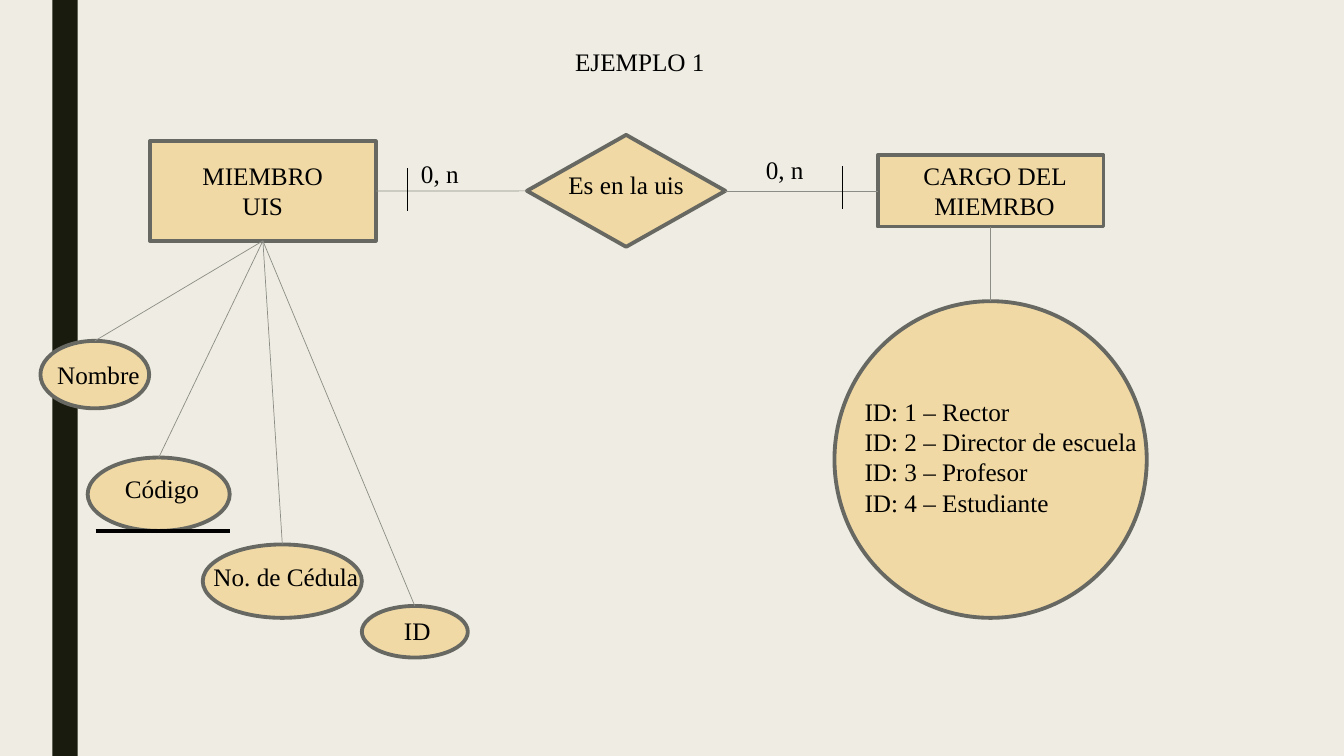
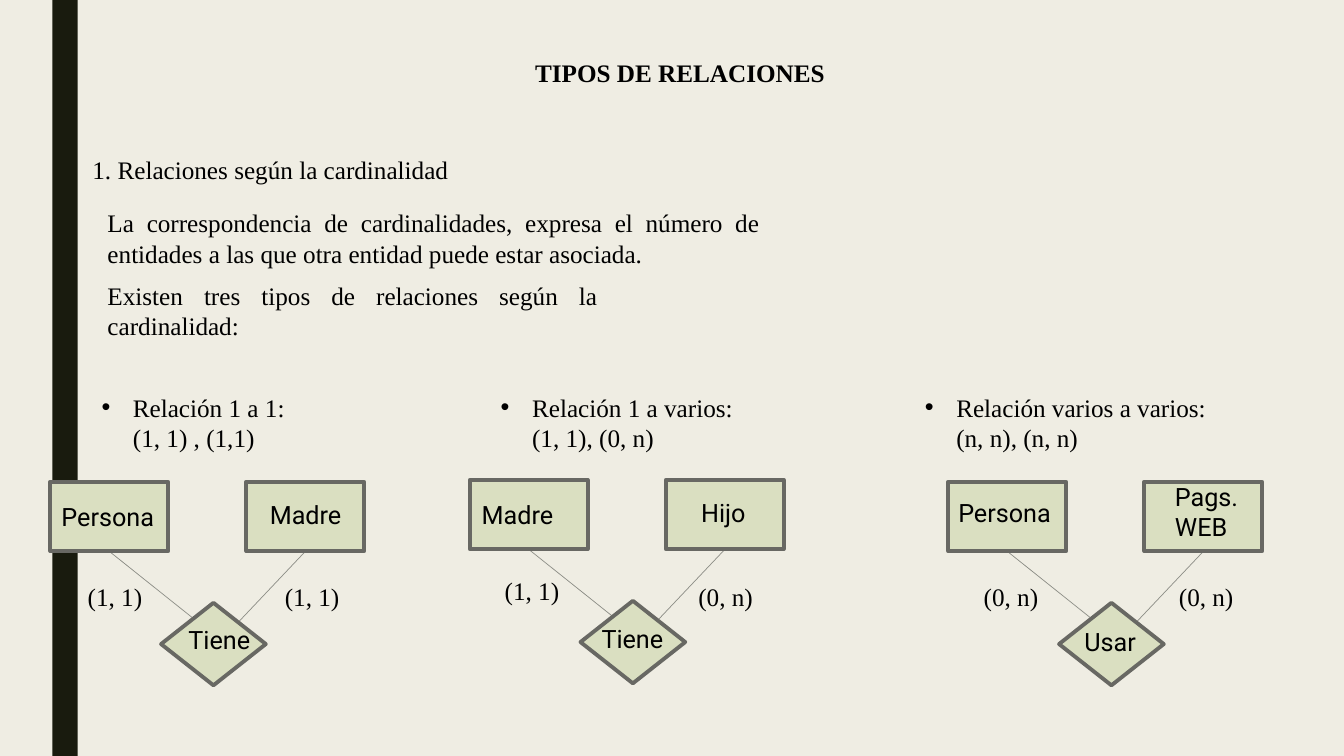
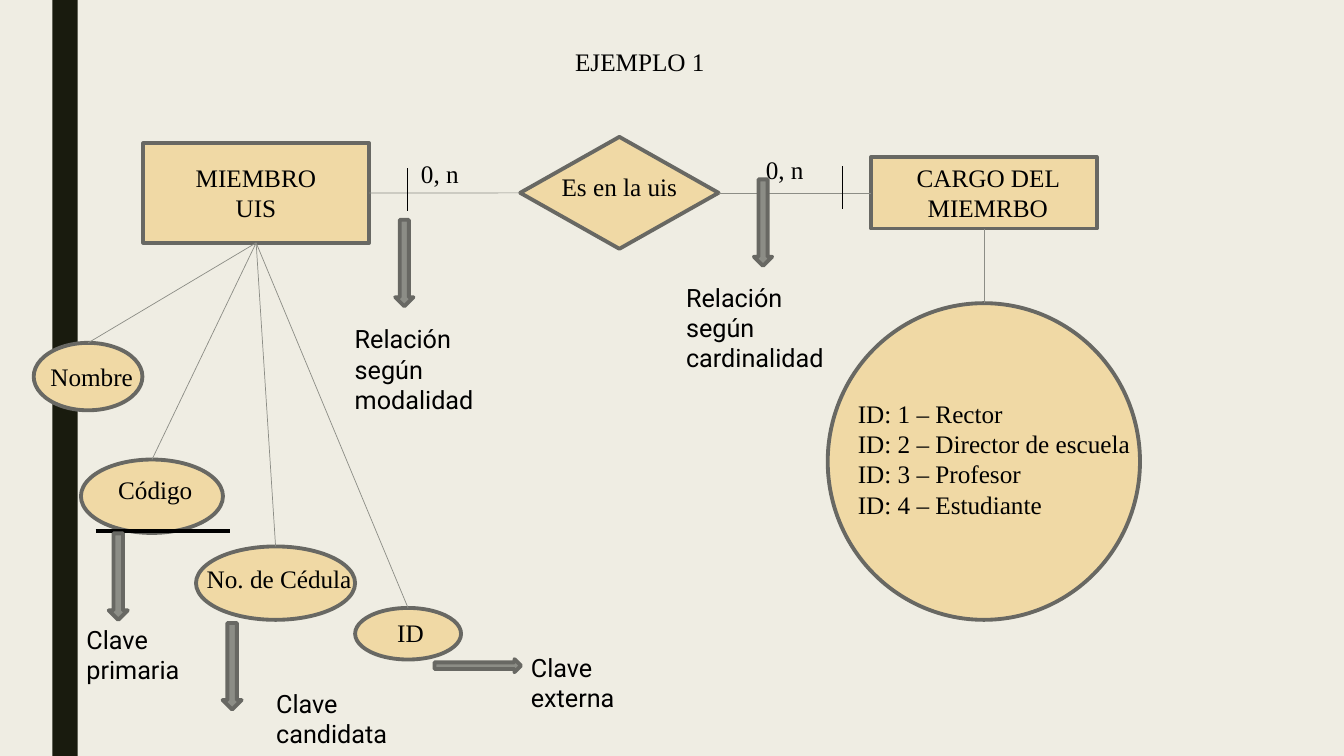
from lxml import etree
from pptx import Presentation
from pptx import util as u
from pptx.dml import color
from pptx.enum import shapes, text
from pptx.oxml import ns

BG, BAND, INK = "EFEDE3", "191B0E", "000000"
SAND, SAGE, GREY, BORDER = "F0D9A5", "DADFC1", "8C8D86", "686863"
SERIF, SANS = "Times New Roman", "Roboto"
LEFT, CENTER, JUSTIFY = text.PP_ALIGN.LEFT, text.PP_ALIGN.CENTER, text.PP_ALIGN.JUSTIFY
BOX = shapes.MSO_SHAPE.FLOWCHART_PROCESS
DIAMOND = shapes.MSO_SHAPE.DIAMOND
OVAL = shapes.MSO_SHAPE.OVAL
DOWN, RIGHT = shapes.MSO_SHAPE.DOWN_ARROW, shapes.MSO_SHAPE.RIGHT_ARROW


def rgb(value):
    """Turn a hex string into a colour."""
    return color.RGBColor.from_string(value)


def write(tf, words, font=SERIF, bold=False, align=LEFT, wrap=True, bullet=False):
    """Fill a text frame, one paragraph for each line of words."""
    tf.word_wrap = wrap
    for i, line in enumerate(words.split("\n")):
        p = tf.paragraphs[0] if i == 0 else tf.add_paragraph()
        p.alignment = align
        r = p.add_run()
        r.text = line
        r.font.name, r.font.size, r.font.bold = font, u.Pt(18), bold
        r.font.color.rgb = rgb(INK)
        if bullet:
            pPr = p._p.get_or_add_pPr()
            pPr.set("marL", str(u.Cm(0.79)))
            pPr.set("indent", str(u.Cm(-0.79)))
            etree.SubElement(pPr, ns.qn("a:buFont")).set("typeface", "Arial")
            etree.SubElement(pPr, ns.qn("a:buChar")).set("char", "•")


def label(parent, words, x, y, w, lines=1, **fmt):
    """Add a text box tall enough for a number of lines."""
    sp = parent.add_textbox(u.Cm(x), u.Cm(y), u.Cm(w), u.Cm(0.25 + 0.77 * lines))
    write(sp.text_frame, words, **fmt)
    sp.text_frame.auto_size = text.MSO_AUTO_SIZE.SHAPE_TO_FIT_TEXT
    return sp


def shape(parent, kind, x, y, w, h, fill=SAND, border=BORDER):
    """Add a filled preset shape."""
    sp = parent.add_shape(kind, u.Cm(x), u.Cm(y), u.Cm(w), u.Cm(h))
    sp.shadow.inherit = False
    sp.fill.solid()
    sp.fill.fore_color.rgb = rgb(fill)
    if border:
        sp.line.color.rgb = rgb(border)
        sp.line.width = u.Pt(2.75)
    else:
        sp.line.fill.background()
    return sp


def line(parent, start, end, ink=GREY, width=0.5):
    """Add a straight line between two points."""
    cxn = parent.add_connector(shapes.MSO_CONNECTOR.STRAIGHT, *start, *end)
    cxn.line.color.rgb = rgb(ink)
    cxn.line.width = u.Pt(width)
    etree.SubElement(cxn._element.spPr, ns.qn("a:effectLst"))
    return cxn


def point(x, y):
    """Return a point given in centimetres."""
    return u.Cm(x), u.Cm(y)


def site(sp, index):
    """Return the top, left, bottom or right connection point."""
    mid_x, mid_y = sp.left + sp.width // 2, sp.top + sp.height // 2
    return [(mid_x, sp.top), (sp.left, mid_y),
            (mid_x, sp.top + sp.height), (sp.left + sp.width, mid_y)][index]


def link(parent, a, a_site, b, b_site):
    """Join two shapes with a glued line."""
    cxn = line(parent, site(a, a_site), site(b, b_site))
    cxn.begin_connect(a, a_site)
    cxn.end_connect(b, b_site)


def new_slide(prs, title, x, y, w, **fmt):
    """Add a slide with its title in place."""
    s = prs.slides.add_slide(prs.slide_layouts[5])
    sp = s.shapes.title
    sp.left, sp.top, sp.width, sp.height = u.Cm(x), u.Cm(y), u.Cm(w), u.Cm(1.02)
    write(sp.text_frame, title, **fmt)
    sp.text_frame.auto_size = text.MSO_AUTO_SIZE.NONE
    return s


def set_master(prs, s):
    """Give the master its background and dark band."""
    master = prs.slide_master
    master.background.fill.solid()
    master.background.fill.fore_color.rgb = rgb(BG)
    band = shape(s.shapes, shapes.MSO_SHAPE.RECTANGLE, 1.32, 0, 0.64, 19.05, BAND, None)
    band.element.nvSpPr.cNvPr.set("id", "99")
    master.shapes.element.insert(2, band.element)


def member_diagram(s, dx=0, dy=0):
    """Draw the member and position entities with their attributes."""
    group = s.shapes.add_group_shape()
    g = group.shapes
    member = shape(g, BOX, 3.78, 3.56, 5.69, 2.51)
    position = shape(g, BOX, 22.12, 3.91, 5.69, 1.8)
    relation = shape(g, DIAMOND, 13.28, 3.4, 5, 2.82)
    roles = shape(g, OVAL, 21.03, 7.59, 7.87, 7.98)
    label(g, "MIEMBRO UIS", 4.55, 3.91, 4.14, 2, align=CENTER)
    label(g, "CARGO DEL MIEMRBO", 22.5, 3.91, 5.13, 2, align=CENTER)
    label(g, "Es en la uis", 13.28, 4.14, 5, align=CENTER)
    label(g, "ID: 1 – Rector\nID: 2 – Director de escuela\nID: 3 – Profesor\n"
             "ID: 4 – Estudiante", 21.54, 9.86, 7.62, 4)
    attributes = [
        ((1.02, 8.59, 2.74, 1.7), ("Nombre", 1.19, 8.92, 3.68)),
        ((2.21, 11.53, 3.58, 1.85), ("Código", 2.9, 11.79, 3.71)),
        ((9.12, 15.27, 2.67, 1.3), ("ID", 9.93, 15.37, 3.71)),
        ((5.11, 13.72, 4.01, 1.85), ("No. de Cédula", 5.13, 14.02, 4.34)),
    ]
    for oval, name in attributes:
        attribute = shape(g, OVAL, *oval)
        label(g, *name)
        link(g, member, 2, attribute, 0)
    link(g, member, 3, relation, 1)
    link(g, relation, 3, position, 1)
    link(g, position, 2, roles, 0)
    group.left += u.Cm(dx)
    group.top += u.Cm(dy)


def example_slide(prs, dx=0, dy=0):
    """Build an example slide with its diagram and cardinality marks."""
    s = new_slide(prs, "EJEMPLO 1", 14.12, 1.04, 4.01, align=CENTER)
    member_diagram(s, dx, dy)
    for x, y, tick_x, tick_y in [(10.36, 3.86, 10.26, 4.24), (19.05, 3.76, 21.23, 4.19)]:
        label(s.shapes, "0, n", x, y, 1.98)
        line(s.shapes, point(tick_x, tick_y), point(tick_x, tick_y + 1.07), INK)
    line(s.shapes, point(2.41, 13.39), point(5.79, 13.39), INK, 2.75)
    return s


def relation_diagram(s, x, y):
    """Draw two entities joined to a diamond below them."""
    group = s.shapes.add_group_shape().shapes
    line(group, point(x + 1.48, y + 1.75), point(x + 3.61, y + 3.45))
    line(group, point(x + 6.43, y + 1.75), point(x + 4.45, y + 3.84))
    for dx in (0, 4.94):
        shape(group, BOX, x + dx, y, 2.97, 1.75, SAGE)
    shape(group, DIAMOND, x + 2.79, y + 3.05, 2.64, 2.08, SAGE)


def types_slide(prs):
    """Build the slide on kinds of relations."""
    s = new_slide(prs, "TIPOS DE RELACIONES", 13.23, 1.32, 11.58, bold=True)
    label(s.shapes, "1. Relaciones según la cardinalidad", 2.08, 3.76, 9.8)
    label(s.shapes, "La correspondencia de cardinalidades, expresa el número de entidades "
                    "a las que otra entidad puede estar asociada.",
          2.46, 5.11, 16.94, 2, align=JUSTIFY)
    label(s.shapes, "Existen tres tipos de relaciones según la cardinalidad:",
          2.46, 6.93, 12.85, 2, align=JUSTIFY)
    for words, x, w in [("Relación 1 a 1: (1, 1) , (1,1)", 2.31, 5.38),
                        ("Relación 1 a varios: (1, 1), (0, n)", 12.37, 6.88),
                        ("Relación varios a varios: (n, n), (n, n)", 23.06, 7.95)]:
        label(s.shapes, words, x, 9.75, w, 2, bullet=True)
    for x, y in [(1.27, 12.14), (11.84, 12.09), (23.9, 12.14)]:
        relation_diagram(s, x, y)
    for words, x, y in [("(1, 1)", 1.96, 14.53), ("(1, 1)", 6.93, 14.53),
                        ("(1, 1)", 12.47, 14.38), ("(0, n)", 17.35, 14.53),
                        ("(0, n)", 24.54, 14.53), ("(0, n)", 29.46, 14.53)]:
        label(s.shapes, words, x, y, 1.9, wrap=False)
    for name in [("Persona", 1.3, 12.5, 2.92), ("Madre", 6.55, 12.47, 2.46),
                 ("Tiene", 4.5, 15.6, 2.18), ("Madre", 11.89, 12.45, 2.72),
                 ("Hijo", 17.42, 12.4, 2.44), ("Tiene", 14.91, 15.57, 2.18),
                 ("Persona", 23.9, 12.4, 3.05), ("Pags. WEB", 29.36, 12.01, 2.67, 2),
                 ("Usar", 27.08, 15.65, 2.41)]:
        label(s.shapes, *name, font=SANS)


def annotate(s):
    """Add the arrows and notes that explain the example."""
    for arrow in [(DOWN, 2.74, 13.44, 0.48, 2.18), (DOWN, 5.61, 15.7, 0.48, 2.18),
                  (RIGHT, 10.95, 16.61, 2.18, 0.33), (DOWN, 9.96, 5.54, 0.46, 2.18),
                  (DOWN, 19, 4.52, 0.46, 2.18)]:
        shape(s.shapes, *arrow, fill=GREY)
    for note in [("Clave primaria", 1.93, 15.6, 3.78, 2),
                 ("Clave candidata", 6.71, 17.22, 3.78, 2),
                 ("Clave externa", 13.13, 16.31, 3.78, 2),
                 ("Relación según modalidad", 8.69, 8.03, 3.78, 3),
                 ("Relación según cardinalidad", 17.04, 6.99, 4.06, 3)]:
        label(s.shapes, *note, font=SANS)


def main():
    """Build and save the presentation."""
    prs = Presentation()
    prs.slide_width, prs.slide_height = u.Cm(33.87), u.Cm(19.05)
    set_master(prs, example_slide(prs))
    types_slide(prs)
    annotate(example_slide(prs, -0.17, 0.05))
    prs.save("out.pptx")


main()
